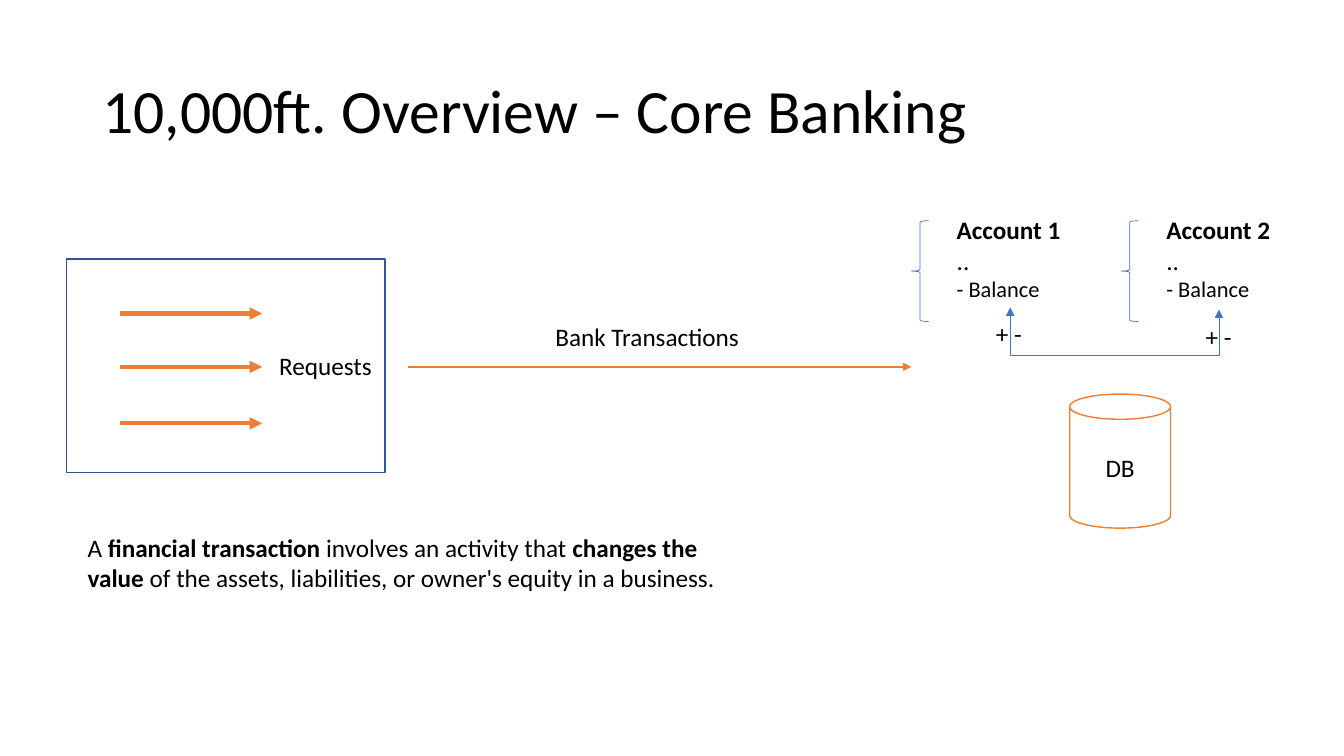
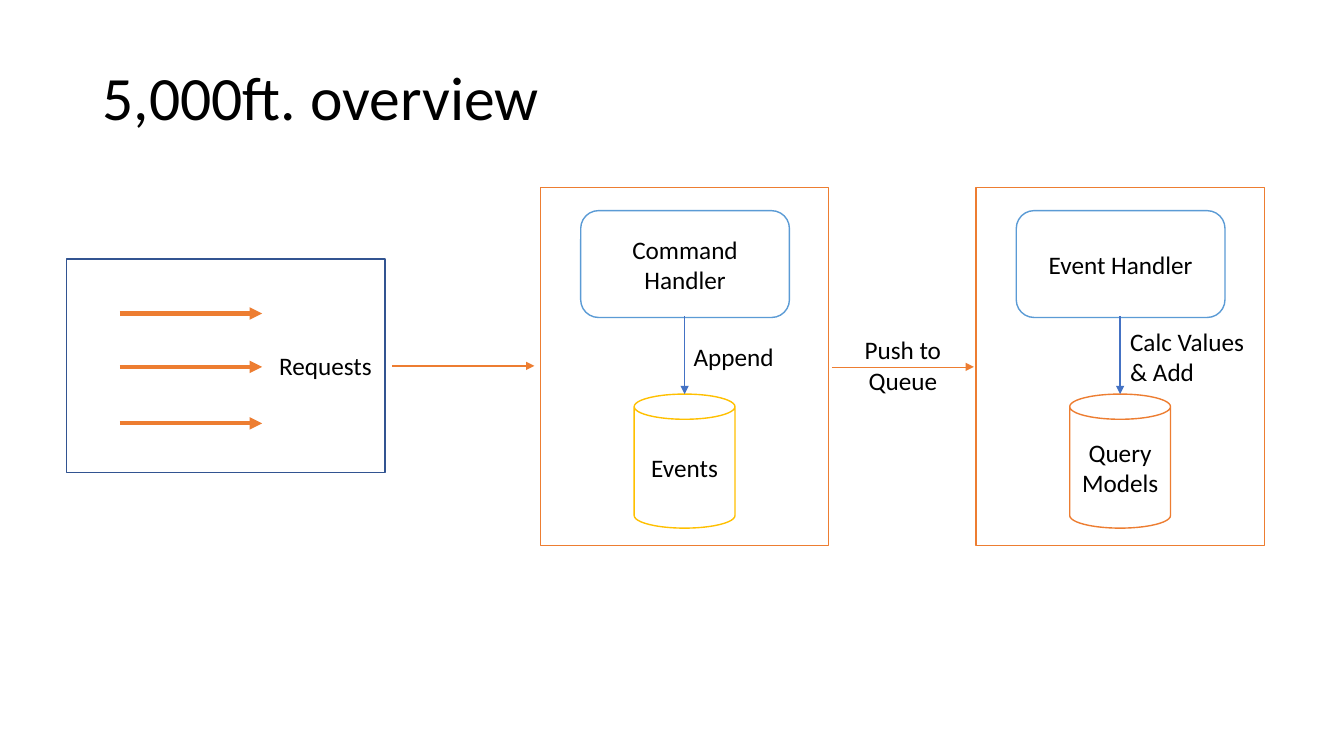
from dataclasses import dataclass

from pptx import Presentation
from pptx import util as u
from pptx.dml import color as col
from pptx.enum import shapes, text
from pptx.oxml import ns
from lxml import etree

KIND = shapes.MSO_SHAPE
LINK = shapes.MSO_CONNECTOR
ALIGN = text.PP_ALIGN
MID = text.MSO_ANCHOR.MIDDLE


@dataclass(frozen=True)
class Theme:
    font: str = "Calibri"
    ink: str = "000000"
    paper: str = "FFFFFF"
    orange: str = "ED7D31"
    gold: str = "FFC000"
    navy: str = "325491"
    blue: str = "4472C4"
    sky: str = "5B9BD5"
    title: int = 44
    body: int = 18
    small: int = 16
    hair: float = 0.5
    thin: float = 1
    thick: float = 3


T = Theme()
BOLD = {"bold": True}


# Basics
def put(item, vals):
    for key, val in vals.items():
        setattr(item, key, val)


def rgb(code):
    return col.RGBColor.from_string(code)


def inch(*nums):
    return [u.Inches(n) for n in nums]


def stroke(item, hue, width):
    item.line.color.rgb = rgb(hue)
    item.line.width = u.Pt(width)


# Each paragraph is a list of (words, format) runs, or a plain string
def write(frame, paras, size=T.body, align=ALIGN.LEFT, space=None):
    for i, runs in enumerate(paras):
        para = frame.paragraphs[0] if i == 0 else frame.add_paragraph()
        put(para, {"alignment": align, "line_spacing": space})
        for words, form in [(runs, {})] if isinstance(runs, str) else runs:
            run = para.add_run()
            run.text = words
            put(run.font, {"name": T.font, "size": u.Pt(size), **form})
            run.font.color.rgb = rgb(T.ink)


def label(slide, at, *paras, wrap=False, **form):
    frame = slide.shapes.add_textbox(*inch(*at)).text_frame
    put(frame, {"word_wrap": wrap,
                "auto_size": text.MSO_AUTO_SIZE.SHAPE_TO_FIT_TEXT})
    write(frame, paras, **form)


def title(slide, words, high):
    frame = slide.shapes.add_textbox(*inch(0.92, 0.4, 11.5, high)).text_frame
    put(frame, {"word_wrap": True, "vertical_anchor": MID})
    write(frame, [words], size=T.title, space=0.9)


def shape(slide, kind, at, hue, words=None, width=T.thin, fill=True):
    item = slide.shapes.add_shape(kind, *inch(*at))
    item.shadow.inherit = False
    stroke(item, hue, width)
    if fill:
        item.fill.solid()
        item.fill.fore_color.rgb = rgb(T.paper)
    else:
        item.fill.background()
    if words:
        put(item.text_frame, {"word_wrap": True, "vertical_anchor": MID})
        write(item.text_frame, [words], align=ALIGN.CENTER)


# Lines and arrows
def link(slide, kind, ends, hue, width, tips=("tailEnd",)):
    item = slide.shapes.add_connector(kind, *inch(*ends))
    stroke(item, hue, width)
    for tip in tips:
        etree.SubElement(item.line._get_or_add_ln(), ns.qn("a:" + tip),
                         type="triangle")
    etree.SubElement(item._element.spPr, ns.qn("a:effectLst"))
    return item


def arrow(slide, ends, hue=T.orange, width=T.thin):
    link(slide, LINK.STRAIGHT, ends, hue, width)


def loop(slide, x1, y1, x2, y2, low):
    """Join two points from below, by an elbow turned a quarter."""
    mid_x, mid_y = (x1 + x2) / 2, (y1 + y2) / 2
    wide, high = y2 - y1, x2 - x1
    ends = (mid_x - wide / 2, mid_y - high / 2,
            mid_x + wide / 2, mid_y + high / 2)
    item = link(slide, LINK.ELBOW, ends, T.blue, T.hair,
                ("headEnd", "tailEnd"))
    frame = item._element.spPr.xfrm
    frame.set("rot", "16200000")
    frame.set("flipH", "1")
    geom = item._element.spPr.find(ns.qn("a:prstGeom"))
    guides = geom.find(ns.qn("a:avLst"))
    if guides is None:
        guides = etree.SubElement(geom, ns.qn("a:avLst"))
    bend = round((low - y1) / wide * 100000)
    etree.SubElement(guides, ns.qn("a:gd"), name="adj1", fmla=f"val {bend}")


# Parts of the diagrams
def inbox(slide):
    for y in (3.11, 3.64, 4.2):
        arrow(slide, (1.19, y, 2.6, y), width=T.thick)
    shape(slide, KIND.RECTANGLE, (0.66, 2.57, 3.16, 2.12), T.navy, fill=False)
    label(slide, (2.67, 3.43, 1.13, 0.4), "Requests")


def store(slide, mid, hue, words):
    shape(slide, KIND.CAN, (mid - 0.5, 3.91, 1, 1.33), hue, words)


def account(slide, x, name, sign):
    shape(slide, KIND.LEFT_BRACE, (x, 2.19, 0.17, 1), T.blue,
          width=T.hair, fill=False)
    label(slide, (x + 0.35, 2.08, 1.24, 0.98), [(name, BOLD)], "..",
          [("- Balance", {"size": u.Pt(T.small)})])
    label(slide, (x + 0.74, sign, 0.46, 0.4), "+ -")


def stage(slide, mid, task, data, hue):
    shape(slide, KIND.RECTANGLE, (mid - 1.43, 1.86, 2.86, 3.55), T.orange)
    store(slide, mid, hue, data)
    shape(slide, KIND.ROUNDED_RECTANGLE, (mid - 1.03, 2.09, 2.07, 1.06),
          T.sky, task)
    arrow(slide, (mid, 3.14, mid, 3.91), T.blue)


# Slides
def bank(slide):
    title(slide, "10,000ft. Overview – Core Banking", 1.45)
    inbox(slide)
    account(slide, 9.04, "Account 1", 3.11)
    account(slide, 11.12, "Account 2", 3.14)
    loop(slide, 10.02, 3.05, 12.09, 3.07, 3.52)
    arrow(slide, (4.05, 3.64, 9.04, 3.64))
    label(slide, (5.41, 3.14, 2.04, 0.4), "Bank Transactions")
    label(slide, (0.77, 5.23, 6.42, 1.01), [
        ("A ", {}), ("financial transaction ", BOLD),
        ("involves an activity that ", {}), ("changes the value", BOLD),
        (" of the assets, liabilities, or owner's equity in a business.", {}),
    ], wrap=True)
    store(slide, 11.11, T.orange, "DB")


def events(slide):
    title(slide, "5,000ft. overview", 1.19)
    inbox(slide)
    arrow(slide, (3.89, 3.63, 5.3, 3.63))
    stage(slide, 6.79, "Command Handler", "Events", T.gold)
    label(slide, (6.78, 3.34, 1.01, 0.4), "Append")
    arrow(slide, (8.25, 3.64, 9.66, 3.64), width=T.hair)
    label(slide, (8.47, 3.27, 0.97, 0.71), "Push to", "Queue",
          align=ALIGN.CENTER)
    stage(slide, 11.11, "Event Handler", "Query Models", T.orange)
    label(slide, (11.11, 3.19, 1.35, 0.71), "Calc Values", "& Add")


def main():
    deck = Presentation()
    put(deck, dict(zip(("slide_width", "slide_height"), inch(13.33, 7.5))))
    for build in (bank, events):
        build(deck.slides.add_slide(deck.slide_layouts[6]))
    deck.save("out.pptx")


if __name__ == "__main__":
    main()
